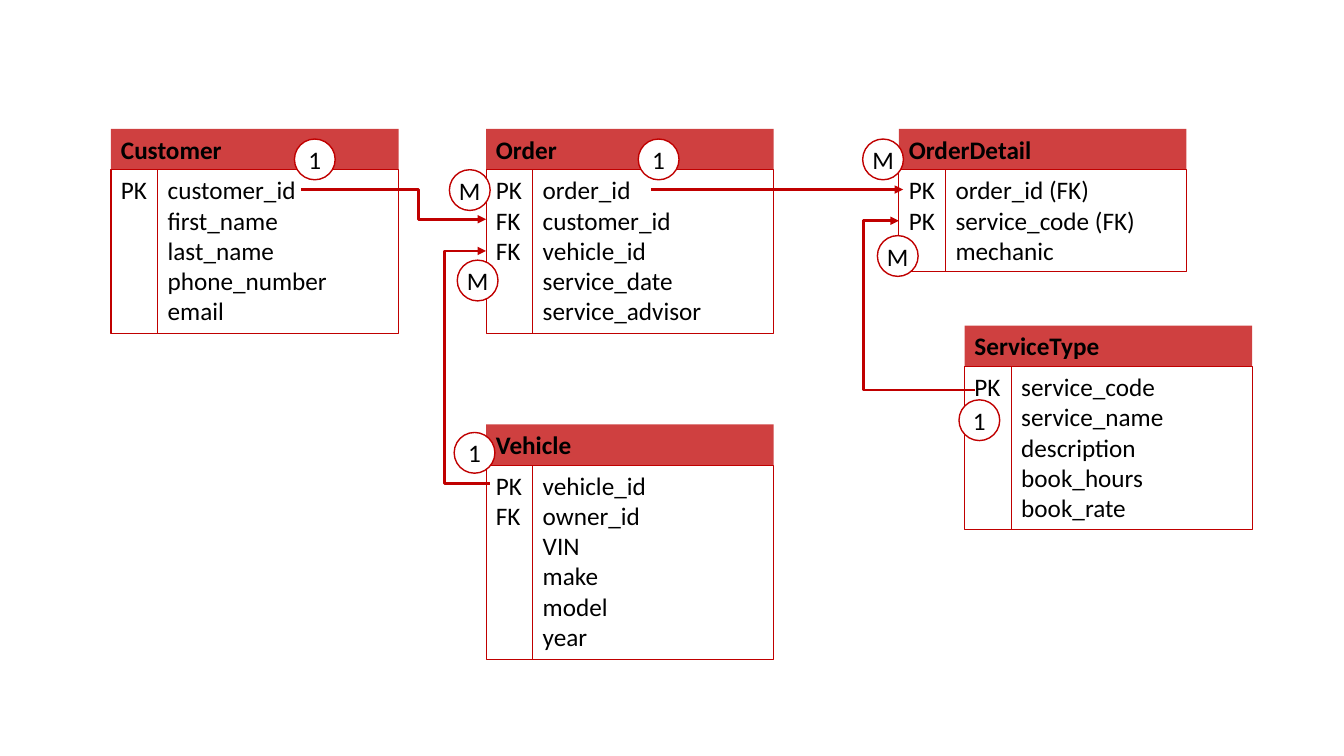
from lxml import etree
from pptx import Presentation
from pptx.dml.color import RGBColor
from pptx.enum import shapes, text
from pptx.oxml import ns
from pptx.util import Pt

COLORS = {"red": "C00000", "white": "FFFFFF", "black": "000000"}
RGB = {name: RGBColor.from_string(value) for name, value in COLORS.items()}

prs = Presentation()
prs.slide_width, prs.slide_height = Pt(960), Pt(540)
slide = prs.slides.add_slide(prs.slide_layouts[6])


def add_box(kind, box, lines, fill=None, border=None, bold=False, **frame_format):
    shape = slide.shapes.add_shape(kind, *map(Pt, box))
    shape.shadow.inherit = False
    if fill:
        shape.fill.solid()
        shape.fill.fore_color.rgb = RGB[fill]
    else:
        shape.fill.background()
    if border:
        shape.line.color.rgb = RGB["red"]
        shape.line.width = Pt(border)
    else:
        shape.line.fill.background()
    frame = shape.text_frame
    settings = {"word_wrap": True, "vertical_anchor": text.MSO_ANCHOR.TOP, **frame_format}
    align = settings.pop("align", text.PP_ALIGN.LEFT)
    for name, value in settings.items():
        setattr(frame, name, value)
    frame.text = "\n".join(lines)
    for paragraph in frame.paragraphs:
        paragraph.alignment = align
        font = paragraph.font
        for name, value in {"name": "Calibri", "size": Pt(18), "bold": bold}.items():
            setattr(font, name, value)
        font.color.rgb = RGB["black"]
    return shape


def add_xml(parent, tag, **attributes):
    return etree.SubElement(parent, ns.qn(tag), attributes)


# Entities: left, top, name, keys, fields
HEADER_H, LINE_H, PADDING = 29.1, 21.9, 7.2
KEY_W, FIELD_W = 33.4, 172
entities = [
    (79.3, 92.1, "Customer", ["PK"],
     ["customer_id", "first_name", "last_name", "phone_number", "email"]),
    (347.2, 92.1, "Order", ["PK", "FK", "FK"],
     ["order_id", "customer_id", "vehicle_id", "service_date", "service_advisor"]),
    (642.1, 92.1, "OrderDetail", ["PK", "PK"],
     ["order_id (FK)", "service_code (FK)", "mechanic"]),
    (689, 232.6, "ServiceType", ["PK"],
     ["service_code", "service_name", "description", "book_hours", "book_rate"]),
    (347.2, 303.1, "Vehicle", ["PK", "FK"],
     ["vehicle_id", "owner_id", "VIN", "make", "model", "year"]),
]
RECT = shapes.MSO_SHAPE.RECTANGLE
for left, top, name, keys, fields in entities:
    body_top, body_h = top + HEADER_H, PADDING + LINE_H * len(fields)
    add_box(RECT, (left + KEY_W, body_top, FIELD_W, body_h), fields, border=0.75)
    add_box(RECT, (left, body_top, KEY_W, body_h), keys, border=0.75, word_wrap=False)
    header = add_box(RECT, (left, top, KEY_W + FIELD_W, HEADER_H), [name],
                     fill="red", bold=True)
    header_color = header.element.spPr.find(".//" + ns.qn("a:srgbClr"))
    add_xml(header_color, "a:alpha", val="75000")

# Relations: start, end, x of the vertical stretch
relations = [
    ((215.3, 135.4), (347.2, 156.6), 299.2),
    ((465.1, 135.4), (645.1, 135.4), 555.1),
    ((350, 345.4), (347.2, 179.3), 317.5),
    ((696.2, 278.6), (642.1, 157.7), 616.8),
]
for start, end, bend_x in relations:
    relation = slide.shapes.add_connector(shapes.MSO_CONNECTOR.ELBOW, *map(Pt, start + end))
    relation.line.color.rgb = RGB["red"]
    relation.line.width = Pt(2)
    properties = relation.element.spPr
    bend = round((bend_x - start[0]) / (end[0] - start[0]) * 100000)
    guides = properties.find(".//" + ns.qn("a:avLst"))
    add_xml(guides, "a:gd", name="adj1", fmla=f"val {bend}")
    add_xml(properties.find(ns.qn("a:ln")), "a:tailEnd", type="triangle")
    add_xml(properties, "a:effectLst")

# Cardinality badges: left, top, label
BADGE = 29.1
badges = [
    (685, 285.6, "1"), (626.7, 168.3, "M"), (210.3, 99.3, "1"), (321, 121.2, "M"),
    (324.4, 308.9, "1"), (326.6, 185.8, "M"), (455.9, 99.3, "1"), (616.2, 99.3, "M"),
]
for left, top, label in badges:
    add_box(shapes.MSO_SHAPE.OVAL, (left, top, BADGE, BADGE), [label],
            fill="white", border=1, word_wrap=False, align=text.PP_ALIGN.CENTER,
            vertical_anchor=text.MSO_ANCHOR.MIDDLE,
            margin_left=0, margin_right=0, margin_top=0, margin_bottom=0)

prs.save("out.pptx")
